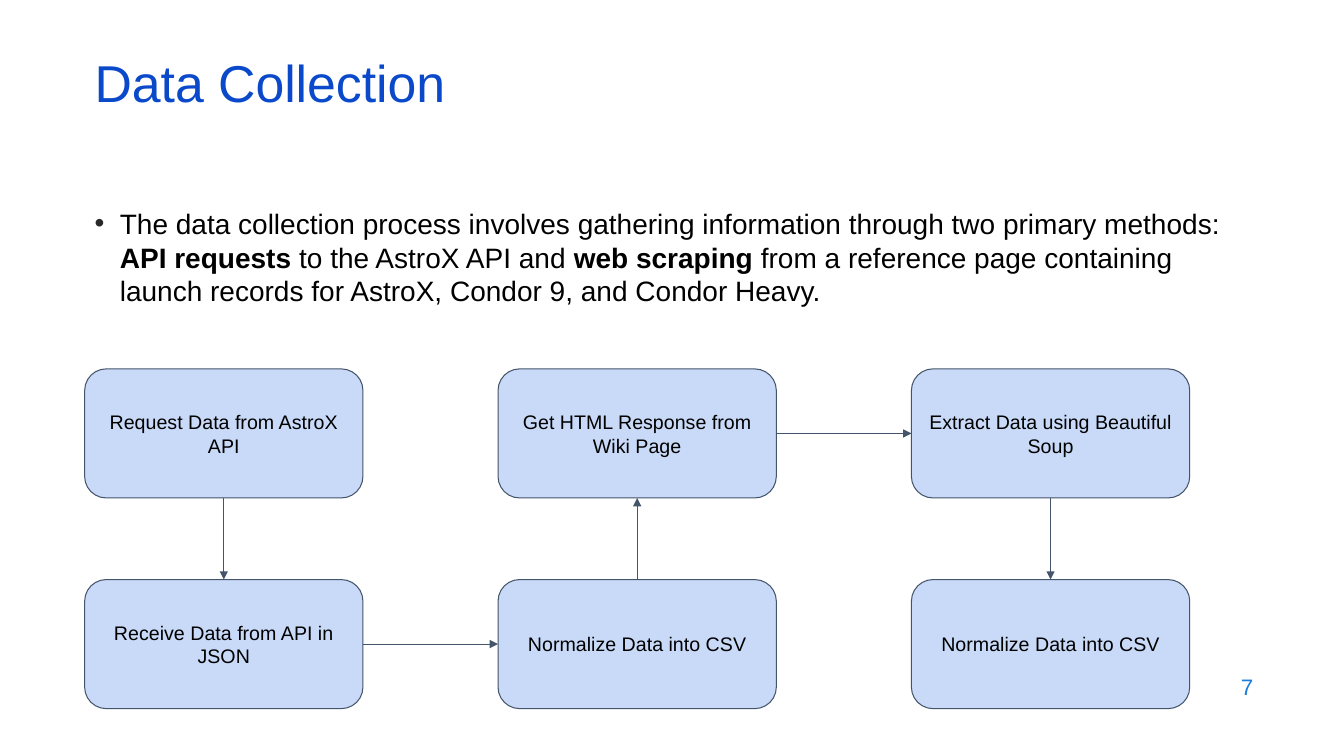
from dataclasses import dataclass

from lxml import etree
from pptx import Presentation
from pptx.dml.color import RGBColor
from pptx.enum.shapes import MSO_CONNECTOR, MSO_SHAPE
from pptx.enum.text import MSO_ANCHOR, PP_ALIGN
from pptx.oxml.ns import qn
from pptx.util import Inches, Pt

STRAIGHT = MSO_CONNECTOR.STRAIGHT
ROUNDED = MSO_SHAPE.ROUNDED_RECTANGLE
MIDDLE, TOP_ANCHOR = MSO_ANCHOR.MIDDLE, MSO_ANCHOR.TOP
LEFT_ALIGN, CENTER, RIGHT_ALIGN = PP_ALIGN.LEFT, PP_ALIGN.CENTER, PP_ALIGN.RIGHT
TOP, LEFT, BOTTOM, RIGHT = range(4)


@dataclass(frozen=True)
class Theme:
    font: str = "Arial"
    title_color: str = "0B49CB"
    text_color: str = "000000"
    bullet_color: str = "292929"
    number_color: str = "1C7DDB"
    step_fill: str = "C9DAF8"
    outline: str = "44546A"
    line_width: float = 0.75
    title_size: int = 37
    body_size: int = 20
    number_size: int = 16
    step_size: int = 14


THEME = Theme()
MARGIN, CONTENT_WIDTH = 0.84, 11.5
STEP_WIDTH, STEP_HEIGHT = 2.76, 1.28

INTRODUCTION = [
    ("The data collection process involves gathering information through two primary methods: ", False),
    ("API requests", True),
    (" to the AstroX API and ", False),
    ("web scraping", True),
    (" from a reference page containing launch records for AstroX, Condor 9, and Condor Heavy.", False),
]

STEPS = [
    ("Request Data from AstroX API", 0, 0),
    ("Receive Data from API in JSON", 0, 1),
    ("Normalize Data into CSV", 1, 1),
    ("Get HTML Response from Wiki Page", 1, 0),
    ("Extract Data using Beautiful Soup", 2, 0),
    ("Normalize Data into CSV", 2, 1),
]

ARROW_SITES = [(BOTTOM, TOP), (RIGHT, LEFT), (TOP, BOTTOM), (RIGHT, LEFT), (BOTTOM, TOP)]


def style_font(font, size, color, bold=False):
    font.name = THEME.font
    font.size = Pt(size)
    font.bold = bold
    font.color.rgb = RGBColor.from_string(color)


def add_text(slide, box, text, size, color, align=LEFT_ALIGN, anchor=MIDDLE):
    text_frame = slide.shapes.add_textbox(*map(Inches, box)).text_frame
    text_frame.word_wrap = True
    text_frame.vertical_anchor = anchor
    text_frame.text = text
    paragraph = text_frame.paragraphs[0]
    paragraph.alignment = align
    for run in paragraph.runs:
        style_font(run.font, size, color)
    return paragraph


def add_bullet(paragraph, indent):
    properties = paragraph._p.get_or_add_pPr()
    properties.set("marL", str(Inches(indent)))
    properties.set("indent", str(-Inches(indent)))
    color = etree.SubElement(properties, qn("a:buClr"))
    etree.SubElement(color, qn("a:srgbClr"), val=THEME.bullet_color)
    etree.SubElement(properties, qn("a:buFont"), typeface=THEME.font)
    etree.SubElement(properties, qn("a:buChar"), char="•")


def add_title(slide, box):
    paragraph = add_text(slide, box, "Data Collection", THEME.title_size, THEME.title_color)
    paragraph.line_spacing = 0.7


def add_introduction(slide, box):
    paragraph = add_text(slide, box, "", THEME.body_size, THEME.text_color, anchor=TOP_ANCHOR)
    add_bullet(paragraph, 0.25)
    for text, bold in INTRODUCTION:
        run = paragraph.add_run()
        run.text = text
        style_font(run.font, THEME.body_size, THEME.text_color, bold)


def style_line(line):
    line.color.rgb = RGBColor.from_string(THEME.outline)
    line.width = Pt(THEME.line_width)


def add_step(slide, box, text):
    shape = slide.shapes.add_shape(ROUNDED, *map(Inches, box))
    shape.shadow.inherit = False
    shape.fill.solid()
    shape.fill.fore_color.rgb = RGBColor.from_string(THEME.step_fill)
    style_line(shape.line)
    text_frame = shape.text_frame
    text_frame.word_wrap = True
    text_frame.vertical_anchor = MIDDLE
    text_frame.margin_left = text_frame.margin_right = Inches(0.04)
    text_frame.text = text
    paragraph = text_frame.paragraphs[0]
    paragraph.alignment = CENTER
    style_font(paragraph.runs[0].font, THEME.step_size, THEME.text_color)
    return shape


def add_arrow(slide, source, source_site, target, target_site):
    connector = slide.shapes.add_connector(STRAIGHT, 0, 0, 0, 0)
    connector.begin_connect(source, source_site)
    connector.end_connect(target, target_site)
    style_line(connector.line)
    etree.SubElement(connector.line._get_or_add_ln(), qn("a:tailEnd"), type="triangle")
    etree.SubElement(connector._element.spPr, qn("a:effectLst"))


def add_process(slide, box):
    left, top, width, height = box
    column_pitch = (width - STEP_WIDTH) / 2
    row_pitch = height - STEP_HEIGHT
    shapes = [
        add_step(
            slide,
            (left + column * column_pitch, top + row * row_pitch, STEP_WIDTH, STEP_HEIGHT),
            text,
        )
        for text, column, row in STEPS
    ]
    for source, target, (source_site, target_site) in zip(shapes, shapes[1:], ARROW_SITES):
        add_arrow(slide, source, source_site, target, target_site)


def add_slide_number(slide, box):
    add_text(slide, box, "7", THEME.number_size, THEME.number_color, RIGHT_ALIGN)


def main():
    presentation = Presentation()
    presentation.slide_width = Inches(13.33)
    presentation.slide_height = Inches(7.5)
    slide = presentation.slides.add_slide(presentation.slide_layouts[6])
    add_slide_number(slide, (9.53, 6.59, 3, 0.44))
    add_introduction(slide, (MARGIN, 2, CONTENT_WIDTH, 1.5))
    add_title(slide, (MARGIN, 0.59, CONTENT_WIDTH, 0.6))
    add_process(slide, (MARGIN, 3.66, 10.96, 3.37))
    presentation.save("out.pptx")


if __name__ == "__main__":
    main()
